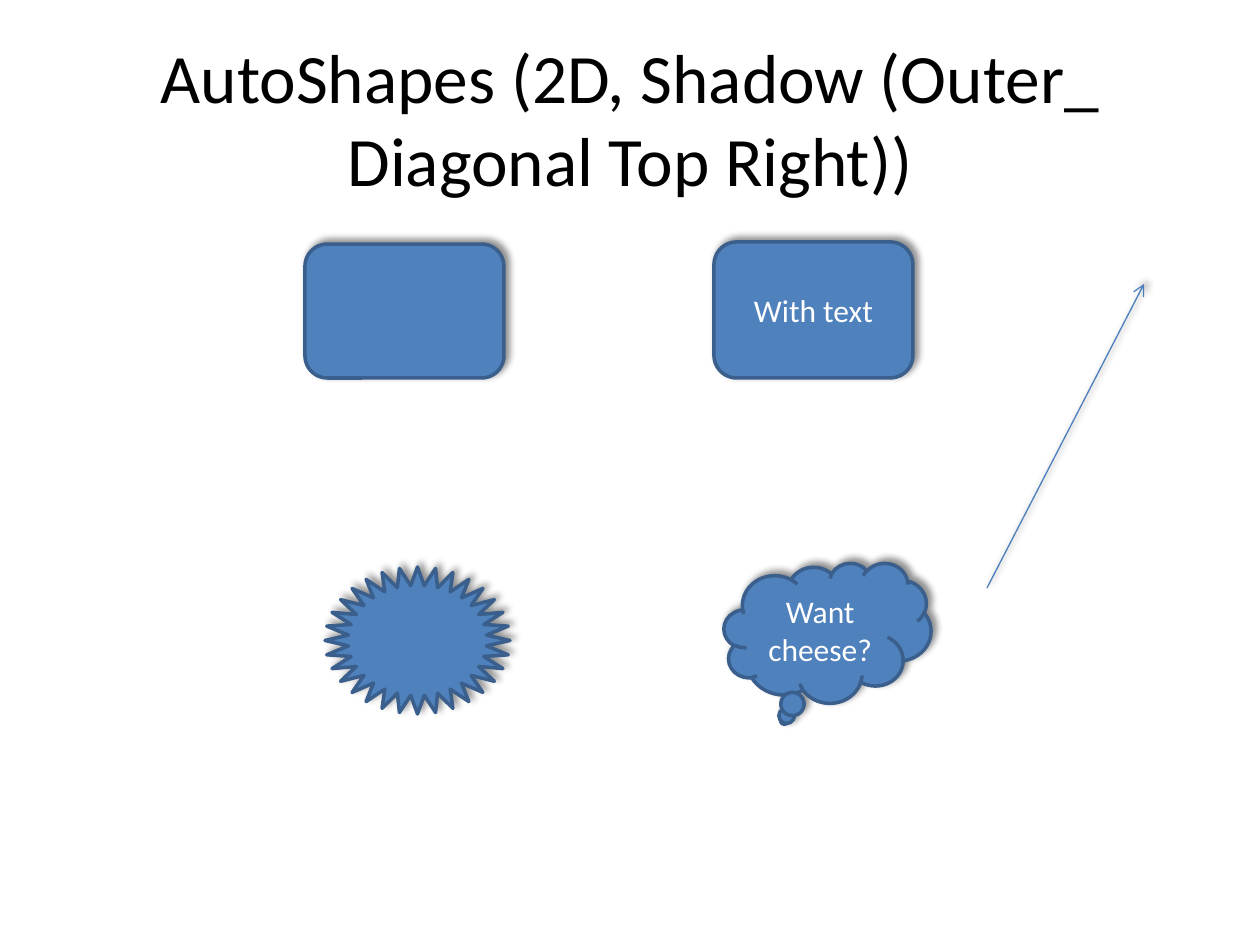
from dataclasses import dataclass

from lxml import etree
from pptx import Presentation
from pptx.dml.color import RGBColor
from pptx.enum.shapes import MSO_CONNECTOR, MSO_SHAPE
from pptx.enum.text import MSO_ANCHOR, MSO_AUTO_SIZE, PP_ALIGN
from pptx.oxml.ns import qn
from pptx.util import Inches, Pt

PX = Inches(1) / 126
TITLE_ONLY = 5
CENTER = PP_ALIGN.CENTER
MIDDLE = MSO_ANCHOR.MIDDLE
NO_AUTOFIT = MSO_AUTO_SIZE.NONE
STRAIGHT = MSO_CONNECTOR.STRAIGHT
ROUNDED = MSO_SHAPE.ROUNDED_RECTANGLE
STAR = MSO_SHAPE.STAR_32_POINT
CLOUD = MSO_SHAPE.CLOUD_CALLOUT


@dataclass(frozen=True)
class Theme:
    """Colours, type and line sizes of the slide."""
    font: str = "Calibri"
    title_size: float = 39.6
    body_size: float = 18
    title: str = "000000"
    label: str = "FFFFFF"
    fill: str = "4F81BD"
    outline: str = "3A5F8C"
    arrow: str = "4B7EBC"
    shadow: str = "000000"
    outline_width: float = 2
    arrow_width: float = 0.75


THEME = Theme()


def px(*values):
    """Turn pixel lengths into EMU."""
    return [round(value * PX) for value in values]


def write_text(shape, text, size, color):
    """Write one centred paragraph into a shape."""
    frame = shape.text_frame
    frame.text = text
    frame.word_wrap = True
    frame.auto_size = NO_AUTOFIT
    frame.vertical_anchor = MIDDLE
    paragraph = frame.paragraphs[0]
    paragraph.alignment = CENTER
    paragraph.font.name = THEME.font
    paragraph.font.size = Pt(size)
    paragraph.font.color.rgb = RGBColor.from_string(color)


def set_line(line, color, width):
    """Set the colour and width of a line."""
    line.color.rgb = RGBColor.from_string(color)
    line.width = Pt(width)


def add_outer_shadow(shape):
    """Cast a soft shadow towards the top right."""
    effects = etree.SubElement(shape._element.spPr, qn("a:effectLst"))
    shadow = etree.SubElement(
        effects, qn("a:outerShdw"), blurRad=str(Pt(4)), dist=str(Pt(3)),
        dir=str(315 * 60000), algn="bl", rotWithShape="0")
    color = etree.SubElement(shadow, qn("a:srgbClr"), val=THEME.shadow)
    etree.SubElement(color, qn("a:alpha"), val="43000")


def add_title(slide, text, box):
    """Place and fill the title placeholder."""
    title = slide.shapes.title
    title.left, title.top, title.width, title.height = px(*box)
    write_text(title, text, THEME.title_size, THEME.title)


def add_autoshape(slide, kind, box, text=""):
    """Add a filled shape with a shadow and an optional label."""
    shape = slide.shapes.add_shape(kind, *px(*box))
    shape.fill.solid()
    shape.fill.fore_color.rgb = RGBColor.from_string(THEME.fill)
    set_line(shape.line, THEME.outline, THEME.outline_width)
    add_outer_shadow(shape)
    if text:
        write_text(shape, text, THEME.body_size, THEME.label)


def add_arrow(slide, start, end):
    """Add a straight arrow with a shadow."""
    arrow = slide.shapes.add_connector(STRAIGHT, *px(*start, *end))
    set_line(arrow.line, THEME.arrow, THEME.arrow_width)
    etree.SubElement(arrow.line._get_or_add_ln(), qn("a:tailEnd"), type="arrow")
    add_outer_shadow(arrow)


def main():
    """Build and save the slide."""
    presentation = Presentation()
    presentation.slide_width, presentation.slide_height = px(1260, 945)
    slide = presentation.slides.add_slide(presentation.slide_layouts[TITLE_ONLY])
    add_title(slide, "AutoShapes (2D, Shadow (Outer_ Diagonal Top Right))",
              (63, 38, 1134, 158))
    add_autoshape(slide, ROUNDED, (305, 244, 199, 134))
    add_autoshape(slide, ROUNDED, (714, 242, 199, 136), "With text")
    add_autoshape(slide, STAR, (325, 567, 185, 147))
    add_autoshape(slide, CLOUD, (724, 563, 207, 140), "Want cheese?")
    add_arrow(slide, (987, 588), (1144, 284))
    presentation.save("out.pptx")


if __name__ == "__main__":
    main()
